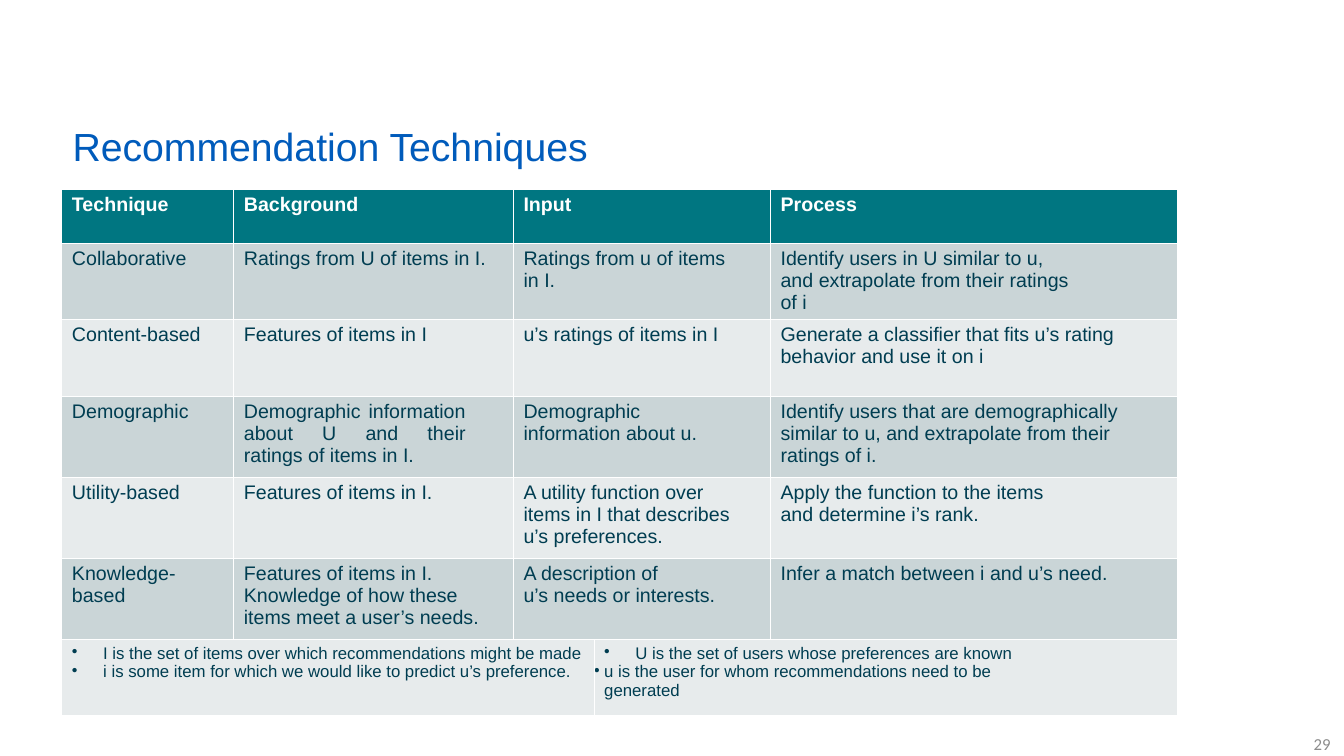
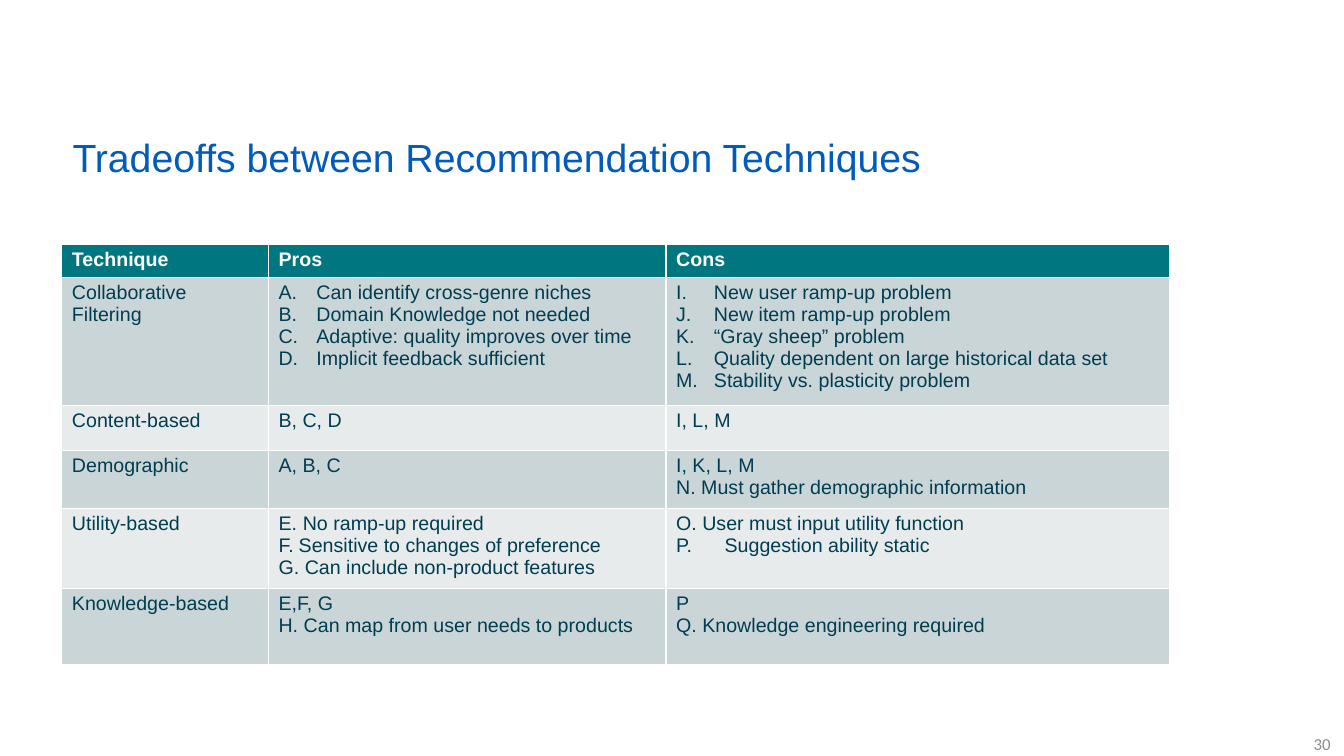
from lxml.etree import SubElement
from pptx import Presentation
from pptx.dml.color import RGBColor
from pptx.enum.text import MSO_ANCHOR, PP_ALIGN
from pptx.oxml.ns import qn
from pptx.util import Pt

BLUE = RGBColor(0x00, 0x5B, 0xBB)
TEAL = RGBColor(0x00, 0x76, 0x81)
INK = RGBColor(0x00, 0x3D, 0x51)
WHITE = RGBColor(0xFF, 0xFF, 0xFF)
GRAY = RGBColor(0x8C, 0x8C, 0x8C)
BANDS = [RGBColor(0xE7, 0xEB, 0xEC), RGBColor(0xCA, 0xD5, 0xD7)]

FRAME = dict(margin_left=0, margin_top=0, margin_right=0, margin_bottom=0,
             vertical_anchor=MSO_ANCHOR.MIDDLE, word_wrap=True)
CELL = dict(margin_left=0, margin_top=Pt(3), margin_right=0, margin_bottom=0)
TITLE = dict(name="Arial", size=Pt(28), bold=False)
HEAD = dict(name="Arial", size=Pt(14), bold=True)
BODY = dict(HEAD, bold=False)
NOTE = dict(BODY, size=Pt(12))
PAGE = dict(name="Calibri", size=Pt(12), bold=False)
PAD = 7.2

SLIDES = [
    dict(
        title="Recommendation Techniques", box=(51.8, 86.4, 374, 35.3), page="29",
        top=135, cols=[122.8, 199.8, 57.6, 126, 291],
        rows=[39, 54.5, 54.5, 58, 58, 58, 54.5],
        cells=[
            ["Technique", "Background", "Input", None, "Process"],
            ["Collaborative", "Ratings from U of items in I.",
             "Ratings from u of items\vin I.", None,
             "Identify users in U similar to u,\vand extrapolate from their ratings\vof i"],
            ["Content-based", "Features of items in I", "u’s ratings of items in I", None,
             "Generate a classifier that fits u’s rating\vbehavior and use it on i"],
            ["Demographic",
             "Demographic information\vabout U and their\vratings of items in I.",
             "Demographic\ninformation about u.", None,
             "Identify users that are demographically\v"
             "similar to u, and extrapolate from their\vratings of i."],
            ["Utility-based", "Features of items in I.",
             "A utility function over\vitems in I that describes\vu’s preferences.", None,
             "Apply the function to the items\vand determine i’s rank."],
            ["Knowledge-\nbased",
             "Features of items in I.\vKnowledge of how these\vitems meet a user’s needs.",
             "A description of\nu’s needs or interests.", None,
             "Infer a match between i and u’s need."],
            ["I is the set of items over which recommendations might be made\n"
             "i is some item for which we would like to predict u’s preference.", None, None,
             "U is the set of users whose preferences are known\n"
             "u is the user for whom recommendations need to be\vgenerated", None],
        ],
        lists={(6, 0): [(29.5, 22.3, "•")] * 2,
               (6, 3): [(29.5, 22.3, "•"), (PAD, PAD, "•")]},
        block=(3, 1),
    ),
    dict(
        title="Tradeoffs between Recommendation Techniques",
        box=(51.8, 94.3, 612, 35.3), page="30",
        top=174.6, cols=[147.6, 284, 360], rows=[23.4, 91.6, 32.4, 41, 57.6, 54],
        cells=[
            ["Technique", "Pros", "Cons"],
            ["Collaborative\vFiltering",
             "Can identify cross-genre niches\nDomain Knowledge not needed\n"
             "Adaptive: quality improves over time\nImplicit feedback sufficient",
             "New user ramp-up problem\nNew item ramp-up problem\n“Gray sheep” problem\n"
             "Quality dependent on large historical data set\nStability vs. plasticity problem"],
            ["Content-based", "B, C, D", "I, L, M"],
            ["Demographic", "A, B, C", "I, K, L, M\nN. Must gather demographic information"],
            ["Utility-based",
             "No ramp-up required\nSensitive to changes of preference\n"
             "Can include non-product features",
             "O. User must input utility function\nSuggestion ability static"],
            ["Knowledge-based", "E,F, G\nH. Can map from user needs to products",
             "P\nQ. Knowledge engineering required"],
        ],
        lists={(1, 1): [(34.2, 27, 1)] * 4,
               (1, 2): [(34.2, 27, 9)] * 5,
               (4, 1): [(24.5, 17.3, 5), (21.6, 14.4, 5), (25.9, 18.7, 5)],
               (4, 2): [(PAD, 0, None), (41.8, 34.6, 16)]},
        block=None,
    ),
]


def style(frame, font, color):
    for para in frame.paragraphs:
        for run in para.runs:
            for key, val in font.items():
                setattr(run.font, key, val)
            run.font.color.rgb = color


def indent(para, left, hang, mark):
    props = para._p.get_or_add_pPr()
    props.set("marL", str(Pt(left)))
    props.set("indent", str(-Pt(hang)))
    if mark == "•":
        SubElement(props, qn("a:buChar"), char=mark)
    elif mark:
        SubElement(props, qn("a:buAutoNum"), type="alphaUcPeriod", startAt=str(mark))


deck = Presentation()
deck.slide_width, deck.slide_height = Pt(960), Pt(540)

for data in SLIDES:
    slide = deck.slides.add_slide(deck.slide_layouts[5])
    title = slide.shapes.title
    title.left, title.top, title.width, title.height = map(Pt, data["box"])
    page = slide.shapes.add_textbox(Pt(861), Pt(522.7), Pt(89.4), Pt(13))
    for shape, text, font, color, align in [
        (title, data["title"], TITLE, BLUE, PP_ALIGN.LEFT),
        (page, data["page"], PAGE, GRAY, PP_ALIGN.RIGHT),
    ]:
        frame = shape.text_frame
        for key, val in FRAME.items():
            setattr(frame, key, val)
        frame.text = text
        frame.paragraphs[0].alignment = align
        style(frame, font, color)
    page.text_frame.paragraphs[0].line_spacing = Pt(18.6)

    cols, rows = data["cols"], data["rows"]
    grid = slide.shapes.add_table(len(rows), len(cols), Pt(44.2), Pt(data["top"]),
                                  Pt(sum(cols)), Pt(sum(rows))).table
    for col, width in zip(grid.columns, cols):
        col.width = Pt(width)
    for row, height in zip(grid.rows, rows):
        row.height = Pt(height)

    for r, texts in enumerate(data["cells"]):
        for c, text in enumerate(texts):
            cell = grid.cell(r, c)
            cell.fill.solid()
            cell.fill.fore_color.rgb = BANDS[r % 2] if r else TEAL
            if text is None:
                continue
            last = c
            while last + 1 < len(texts) and texts[last + 1] is None:
                last += 1
            if last > c:
                cell.merge(grid.cell(r, last))
            for key, val in CELL.items():
                setattr(cell, key, val)
            frame = cell.text_frame
            frame.text = text
            marks = data["lists"].get((r, c), [(PAD, 0, None)] * len(frame.paragraphs))
            for para, mark in zip(frame.paragraphs, marks):
                indent(para, *mark)
            font = NOTE if marks[0][2] == "•" else BODY
            style(frame, font if r else HEAD, INK if r else WHITE)
            if (r, c) == data["block"]:
                cell.margin_right = Pt(34)
                frame.paragraphs[0].alignment = PP_ALIGN.JUSTIFY

deck.save("out.pptx")
